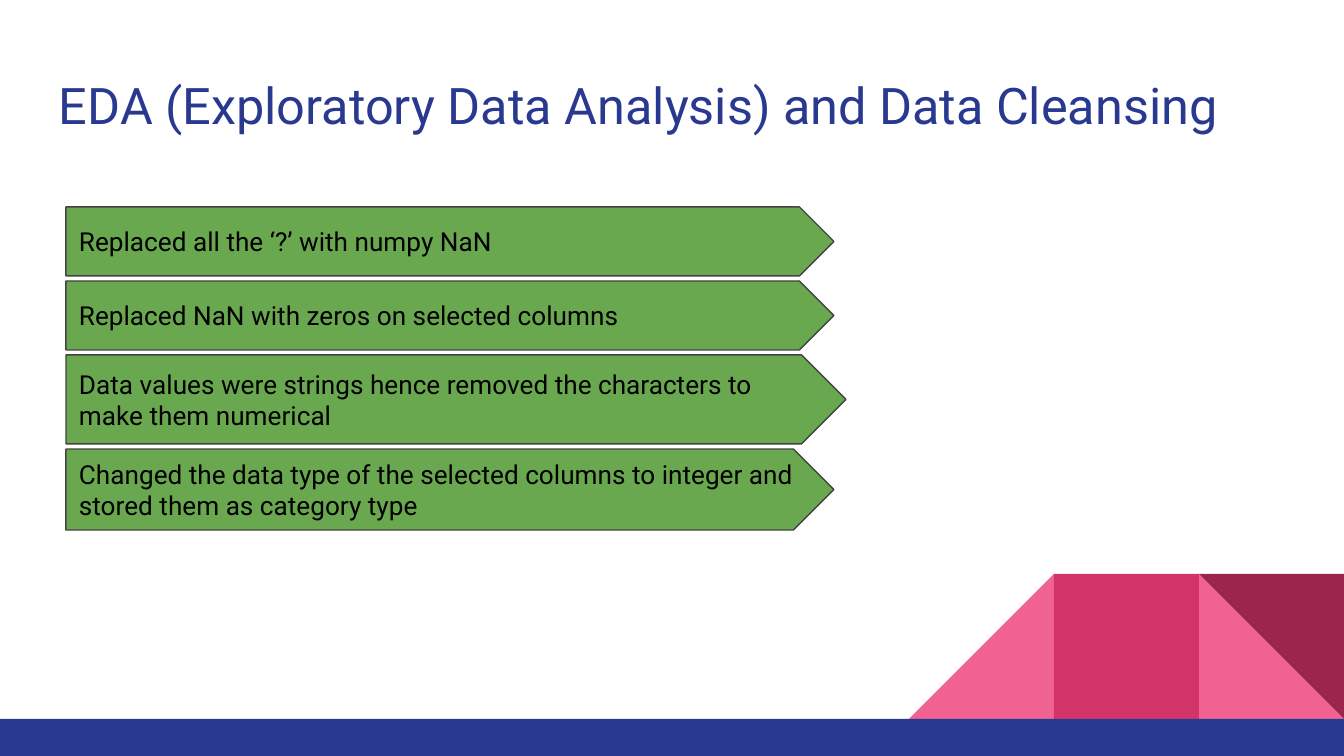
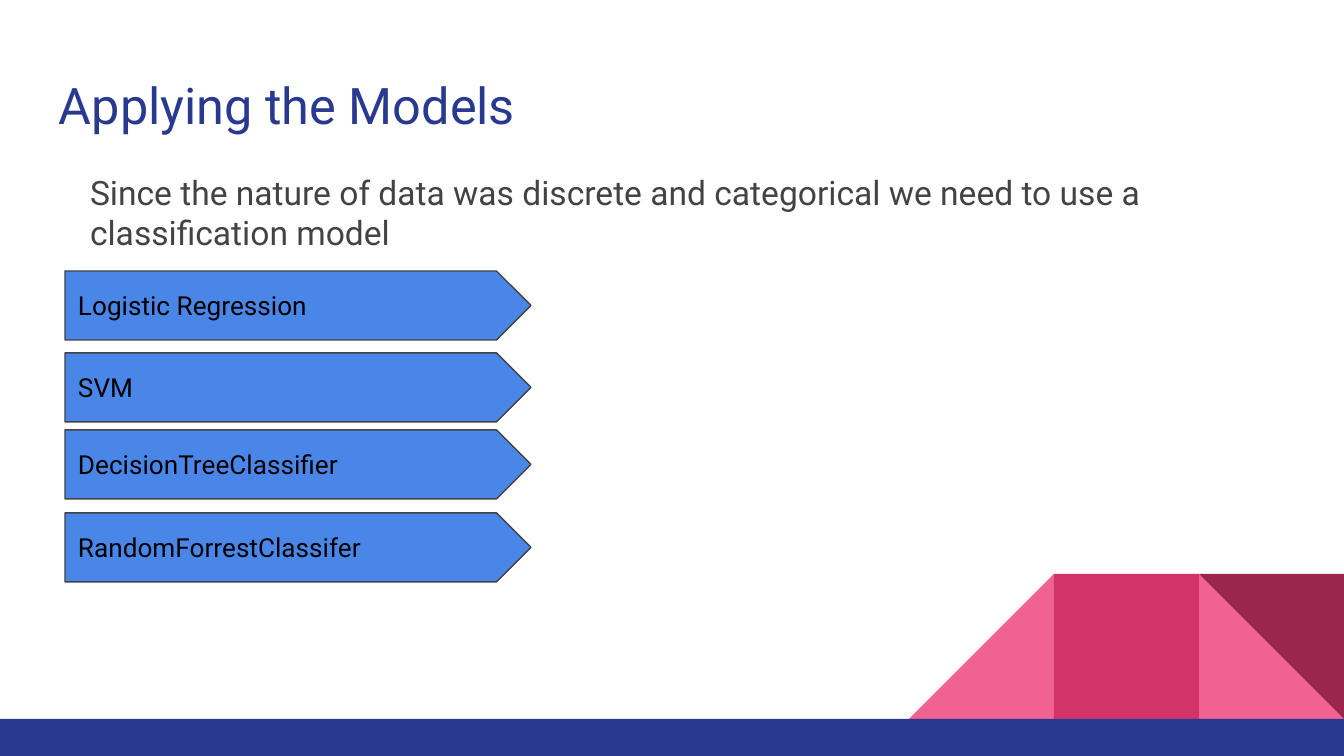
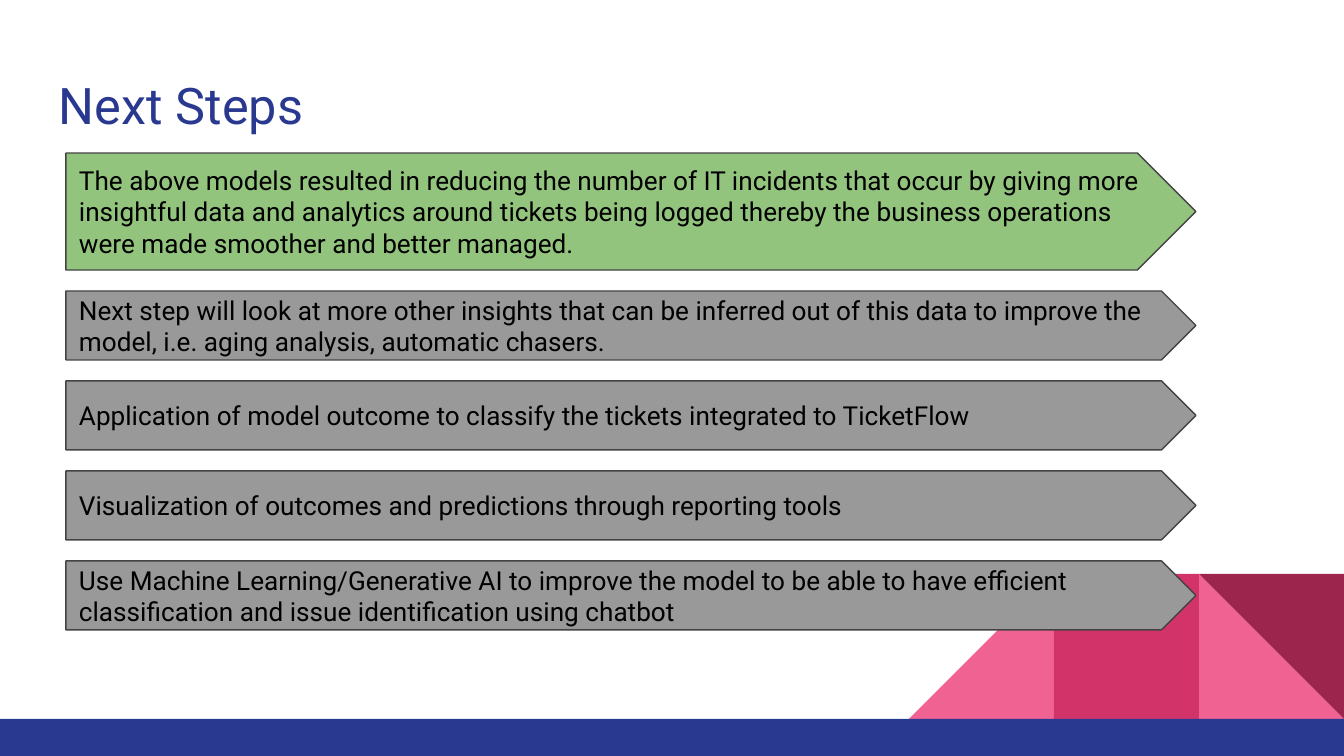
from dataclasses import dataclass
from typing import Any, Optional

import pptx
import pptx.dml.color
import pptx.enum.shapes
import pptx.enum.text
import pptx.util

SHAPE = pptx.enum.shapes.MSO_SHAPE
ANCHOR = pptx.enum.text.MSO_ANCHOR

# One scale: the slide is 1344 x 756 px
WIDTH, HEIGHT = 1344, 756
EMU_PER_PX = 9144000 / WIDTH


@dataclass(frozen=True)
class Theme:
    font: str = "Roboto"
    navy: str = "2A3990"
    pink: str = "F06292"
    rose: str = "D23369"
    wine: str = "9C254D"
    ink: str = "000000"
    gray_text: str = "434343"
    green: str = "6AA84F"
    light_green: str = "93C47D"
    blue: str = "4A86E8"
    gray: str = "999999"
    title_size: int = 27
    body_size: int = 18
    bar_size: int = 14
    outline: float = 0.75
    inset: int = 13


THEME = Theme()


@dataclass(frozen=True)
class Box:
    left: int
    top: int
    width: int
    height: int


@dataclass(frozen=True)
class Decor:
    kind: Any
    box: Box
    fill: str
    rotation: int = 0


@dataclass(frozen=True)
class Bar:
    text: str
    fill: str
    width: int
    gap: int  # space above the bar
    height: int = 69


@dataclass(frozen=True)
class Page:
    title: str
    left: int
    top: int
    bars: list[Bar]
    intro: str = ""


TITLE_BOX = Box(46, 61, 1253, 88)
INTRO_BOX = Box(77, 159, 1234, 52)

# Corner ornament: three equal tiles standing on the footer band
TILE = 145
FOOTER_TOP = 719
TILES = [Box(WIDTH - n * TILE, FOOTER_TOP - TILE, TILE, TILE) for n in (3, 2, 1)]
DECOR = [
    Decor(SHAPE.RIGHT_TRIANGLE, TILES[2], THEME.pink),
    Decor(SHAPE.RIGHT_TRIANGLE, TILES[0], THEME.pink, 270),
    Decor(SHAPE.RECTANGLE, TILES[1], THEME.rose),
    Decor(SHAPE.RIGHT_TRIANGLE, TILES[2], THEME.wine, 180),
    Decor(SHAPE.RECTANGLE, Box(0, FOOTER_TOP, WIDTH, HEIGHT - FOOTER_TOP), THEME.navy),
]

# Slide content
PAGES = [
    Page("EDA (Exploratory Data Analysis) and Data Cleansing", 66, 207, [
        Bar("Replaced all the ‘?’ with numpy NaN", THEME.green, 768, 0),
        Bar("Replaced NaN with zeros on selected columns", THEME.green, 768, 5),
        Bar("Data values were strings hence removed the characters to make them numerical",
            THEME.green, 780, 5, 89),
        Bar("Changed the data type of the selected columns to integer and "
            "stored them as category type", THEME.green, 768, 5, 81),
    ]),
    Page("Applying the Models", 65, 271, [
        Bar("Logistic Regression", THEME.blue, 466, 0),
        Bar("SVM", THEME.blue, 466, 13),
        Bar("DecisionTreeClassifier", THEME.blue, 466, 8),
        Bar("RandomForrestClassifer", THEME.blue, 466, 14),
    ], intro="Since the nature of data was discrete and categorical "
             "we need to use a classification model"),
    Page("Next Steps", 66, 153, [
        Bar("The above models resulted in reducing the number of IT incidents that occur by "
            "giving more insightful data and analytics around tickets being logged thereby "
            "the business operations were made smoother and better managed.",
            THEME.light_green, 1130, 0, 117),
        Bar("Next step will look at more other insights that can be inferred out of this data "
            "to improve the model, i.e. aging analysis, automatic chasers.",
            THEME.gray, 1130, 21),
        Bar("Application of model outcome to classify the tickets integrated to TicketFlow",
            THEME.gray, 1130, 21),
        Bar("Visualization of outcomes and predictions through reporting tools",
            THEME.gray, 1130, 21),
        Bar("Use Machine Learning/Generative AI to improve the model to be able to have "
            "efficient classification and issue identification using chatbot",
            THEME.gray, 1130, 21),
    ]),
]


def px(n: int) -> pptx.util.Emu:
    return pptx.util.Emu(round(n * EMU_PER_PX))


def place(box: Box) -> tuple:
    return px(box.left), px(box.top), px(box.width), px(box.height)


def rgb(value: str) -> pptx.dml.color.RGBColor:
    return pptx.dml.color.RGBColor.from_string(value)


def write(sp: Any, text: str, *, size: int, color: str, anchor: Any = ANCHOR.TOP) -> None:
    """Put one left-aligned paragraph into a shape or text box."""
    tf = sp.text_frame
    tf.word_wrap = True
    tf.vertical_anchor = anchor
    tf.margin_left = tf.margin_right = tf.margin_top = tf.margin_bottom = px(THEME.inset)
    p = tf.paragraphs[0]
    p.alignment = pptx.enum.text.PP_ALIGN.LEFT
    r = p.add_run()
    r.text = text
    r.font.name = THEME.font
    r.font.size = pptx.util.Pt(size)
    r.font.color.rgb = rgb(color)


def add_shape(s: Any, kind: Any, box: Box, fill: str, line: Optional[str] = None) -> Any:
    sp = s.shapes.add_shape(kind, *place(box))
    sp.shadow.inherit = False
    sp.fill.solid()
    sp.fill.fore_color.rgb = rgb(fill)
    if line:
        sp.line.color.rgb = rgb(line)
        sp.line.width = pptx.util.Pt(THEME.outline)
    else:
        sp.line.fill.background()
    return sp


def add_bars(s: Any, page: Page) -> None:
    """Stack the arrow bars downwards from the page's starting point."""
    top = page.top
    for bar in page.bars:
        top += bar.gap
        box = Box(page.left, top, bar.width, bar.height)
        sp = add_shape(s, SHAPE.PENTAGON, box, bar.fill, THEME.gray_text)
        write(sp, bar.text, size=THEME.bar_size, color=THEME.ink, anchor=ANCHOR.MIDDLE)
        top += bar.height


def add_page(prs: Any, page: Page) -> None:
    s = prs.slides.add_slide(prs.slide_layouts[6])
    for d in DECOR:
        add_shape(s, d.kind, d.box, d.fill).rotation = d.rotation
    write(s.shapes.add_textbox(*place(TITLE_BOX)), page.title,
          size=THEME.title_size, color=THEME.navy)
    add_bars(s, page)
    if page.intro:
        write(s.shapes.add_textbox(*place(INTRO_BOX)), page.intro,
              size=THEME.body_size, color=THEME.gray_text)


def main() -> None:
    prs = pptx.Presentation()
    prs.slide_width, prs.slide_height = px(WIDTH), px(HEIGHT)
    for page in PAGES:
        add_page(prs, page)
    prs.save("out.pptx")


if __name__ == "__main__":
    main()
